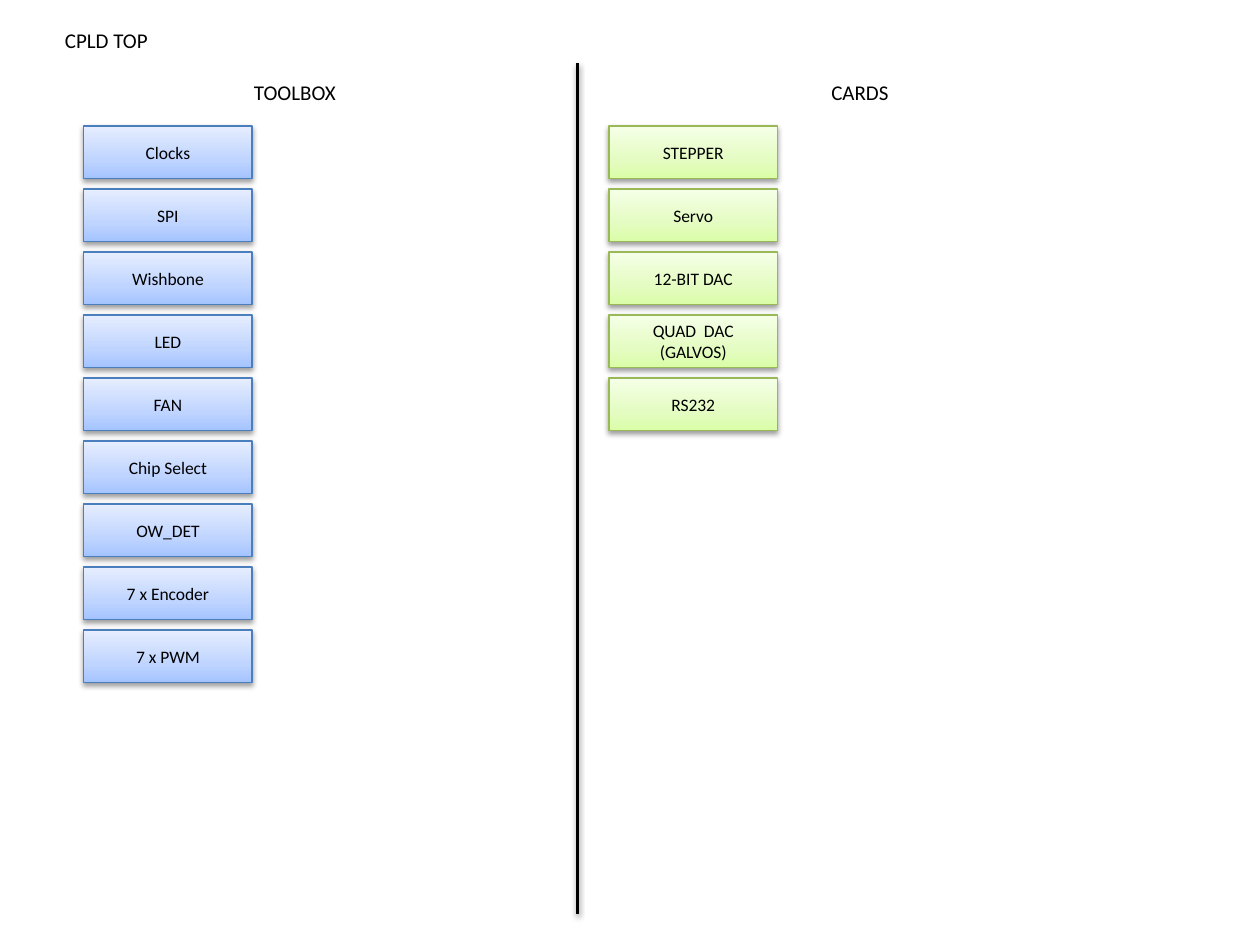
from lxml import etree
from pptx import Presentation
from pptx import util as u
from pptx.dml.color import RGBColor
from pptx.enum import shapes, text
from pptx.oxml import parse_xml

NS = "http://schemas.openxmlformats.org/drawingml/2006/main"
COLORS = {
    "ink": "000000",
    "blue_line": "4B7EBC",
    "green_line": "98B955",
}
# Gradient stops run from the bottom of a box to its top.
GRADIENTS = {
    "blue": [(0, "A4C4FF"), (35, "BFD4FF"), (100, "E6EEFF")],
    "green": [(0, "DAFDA7"), (35, "E4FCC2"), (100, "F5FFE7")],
}
# text, left, top, width (cm)
LABELS = [
    ("CPLD TOP", 1.06, 0.43, 2.2),
    ("TOOLBOX", 4.87, 1.48, 2.18),
    ("CARDS", 16.51, 1.48, 1.67),
]
# theme, left (cm), modules
COLUMNS = [
    ("blue", 1.69, ["Clocks", "SPI", "Wishbone", "LED", "FAN", "Chip Select",
                    "OW_DET", "7 x Encoder", "7 x PWM"]),
    ("green", 12.28, ["STEPPER", "Servo", "12-BIT DAC", "QUAD  DAC (GALVOS)",
                      "RS232"]),
]
BOX_W, BOX_H, BOX_TOP, PITCH = 3.39, 1.06, 2.54, 1.27
LABEL_H = 0.77
DIVIDER = {"x": 11.64, "top": 1.27, "bottom": 18.42}
BOX_FRAME = {"word_wrap": True, "vertical_anchor": text.MSO_ANCHOR.MIDDLE}
LABEL_FRAME = {"word_wrap": False,
               "auto_size": text.MSO_AUTO_SIZE.SHAPE_TO_FIT_TEXT}


def rgb(name):
    return RGBColor.from_string(COLORS[name])


def set_text(sp, words, size, align, frame):
    tf = sp.text_frame
    for key, value in frame.items():
        setattr(tf, key, value)
    p = tf.paragraphs[0]
    p.alignment = align
    r = p.add_run()
    r.text = words
    for key, value in {"name": "Calibri", "size": u.Pt(size)}.items():
        setattr(r.font, key, value)
    r.font.color.rgb = rgb("ink")


def add_gradient(sp, stops):
    gs = "".join(f'<a:gs pos="{pos * 1000}"><a:srgbClr val="{c}"/></a:gs>'
                 for pos, c in stops)
    fill = parse_xml(f'<a:gradFill xmlns:a="{NS}" rotWithShape="1">'
                     f'<a:gsLst>{gs}</a:gsLst>'
                     '<a:lin ang="16200000" scaled="0"/></a:gradFill>')
    sp._element.spPr.find(f"{{{NS}}}prstGeom").addnext(fill)


def add_shadow(sp):
    """Append a soft downward shadow; call after fill and line are set."""
    effects = etree.SubElement(sp._element.spPr, f"{{{NS}}}effectLst")
    shadow = etree.SubElement(effects, f"{{{NS}}}outerShdw", blurRad="40000",
                              dist="20000", dir="5400000", rotWithShape="0")
    color = etree.SubElement(shadow, f"{{{NS}}}srgbClr", val=COLORS["ink"])
    etree.SubElement(color, f"{{{NS}}}alpha", val="38000")


def set_line(sp, color, width):
    sp.line.color.rgb = rgb(color)
    sp.line.width = u.Pt(width)


def add_box(s, words, theme, left, top):
    sp = s.shapes.add_shape(shapes.MSO_SHAPE.RECTANGLE, u.Cm(left), u.Cm(top),
                            u.Cm(BOX_W), u.Cm(BOX_H))
    add_gradient(sp, GRADIENTS[theme])
    set_line(sp, f"{theme}_line", 0.75)
    add_shadow(sp)
    set_text(sp, words, 10, text.PP_ALIGN.CENTER, BOX_FRAME)


def add_divider(s):
    x = u.Cm(DIVIDER["x"])
    line = s.shapes.add_connector(shapes.MSO_CONNECTOR.STRAIGHT, x,
                                  u.Cm(DIVIDER["top"]), x,
                                  u.Cm(DIVIDER["bottom"]))
    set_line(line, "ink", 2)
    add_shadow(line)


def main():
    prs = Presentation()
    prs.slide_width, prs.slide_height = u.Cm(25.4), u.Cm(19.05)
    s = prs.slides.add_slide(prs.slide_layouts[6])
    for words, left, top, width in LABELS:
        sp = s.shapes.add_textbox(u.Cm(left), u.Cm(top), u.Cm(width),
                                  u.Cm(LABEL_H))
        set_text(sp, words, 12, text.PP_ALIGN.LEFT, LABEL_FRAME)
    for theme, left, modules in COLUMNS:
        for i, words in enumerate(modules):
            add_box(s, words, theme, left, BOX_TOP + i * PITCH)
    add_divider(s)
    prs.save("out.pptx")


if __name__ == "__main__":
    main()
